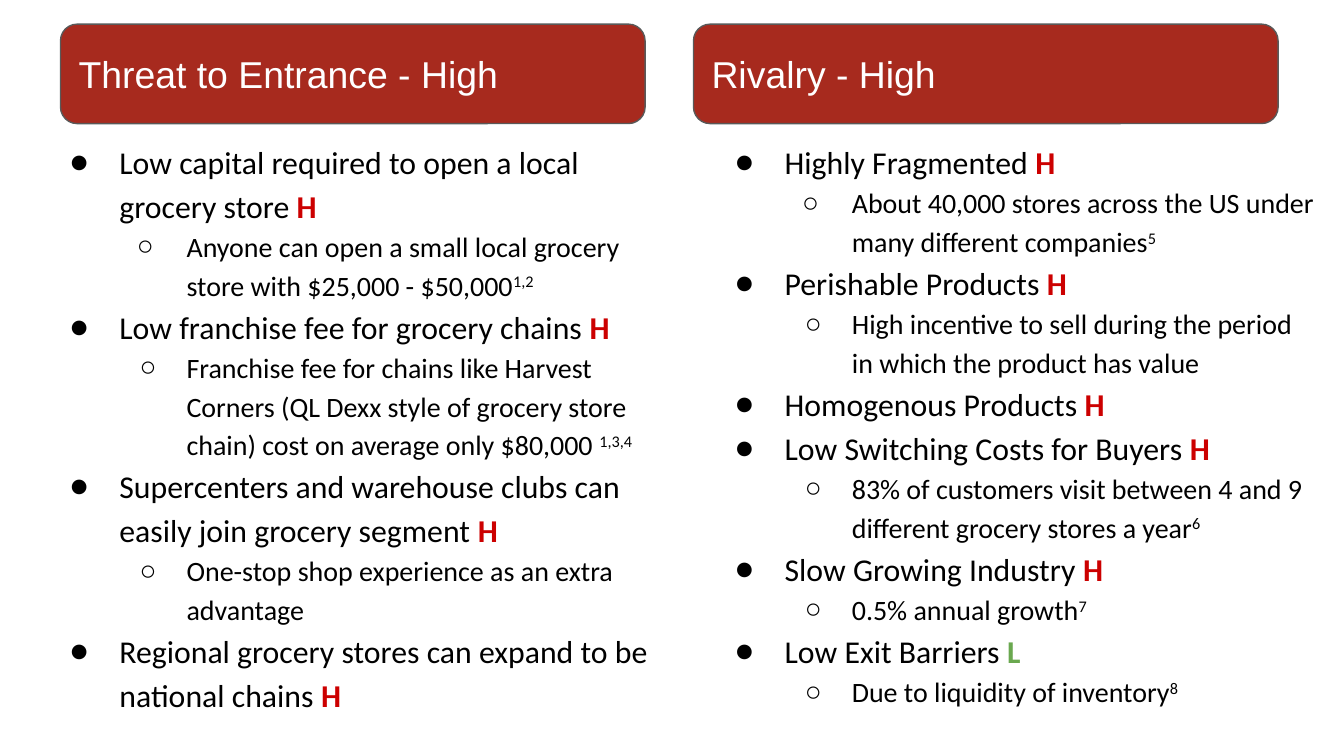
from lxml import etree
from pptx import Presentation
from pptx.dml.color import RGBColor
from pptx.enum.shapes import MSO_SHAPE
from pptx.enum.text import MSO_ANCHOR, MSO_AUTO_SIZE, PP_ALIGN
from pptx.oxml.ns import qn
from pptx.util import Inches, Pt

ROUNDED = MSO_SHAPE.ROUNDED_RECTANGLE
MIDDLE = MSO_ANCHOR.MIDDLE
GROW = MSO_AUTO_SIZE.SHAPE_TO_FIT_TEXT
LEFT = PP_ALIGN.LEFT
BLACK, WHITE = "000000", "FFFFFF"
RATING = {"H": "CC0000", "L": "6AA84F"}
BULLETS = [("●", "Calibri"), ("○", "Arial")]

# Header, header left, text left, text height, points.
# A point is (text, rating, sub-point, footnote mark).
COLUMNS = [
    ("Rivalry - High", 5.16, 5.24, 4.5, [
        ("Highly Fragmented ", "H",
         "About 40,000 stores across the US under many different companies", "5"),
        ("Perishable Products ", "H",
         "High incentive to sell during the period in which the product has value", ""),
        ("Homogenous Products ", "H", "", ""),
        ("Low Switching Costs for Buyers ", "H",
         "83% of customers visit between 4 and 9 different grocery stores a year", "6"),
        ("Slow Growing Industry ", "H", "0.5% annual growth", "7"),
        ("Low Exit Barriers ", "L", "Due to liquidity of inventory", "8"),
    ]),
    ("Threat to Entrance - High", 0.45, 0.29, 4.86, [
        ("Low capital required to open a local grocery store ", "H",
         "Anyone can open a small local grocery store with $25,000 - $50,000", "1,2"),
        ("Low franchise fee for grocery chains ", "H",
         "Franchise fee for chains like Harvest Corners "
         "(QL Dexx style of grocery store chain) cost on average only $80,000 ", "1,3,4"),
        ("Supercenters and warehouse clubs can easily join grocery segment ", "H",
         "One-stop shop experience as an extra advantage", ""),
        ("Regional grocery stores can expand to be national chains ", "H", "", ""),
    ]),
]


def add_run(para, text, size, color=BLACK, face="Calibri"):
    run = para.add_run()
    run.text = text
    run.font.size = Pt(size)
    run.font.name = face
    run.font.color.rgb = RGBColor.from_string(color)
    return run


def add_item(frame, level, hang):
    """Return a bulleted paragraph, using the frame's first one if still empty."""
    para = frame.paragraphs[0]
    if para.runs:
        para = frame.add_paragraph()
    para.level = level
    para.line_spacing = 1.15
    sign, face = BULLETS[level]
    props = para._p.get_or_add_pPr()
    props.set("marL", str(Inches(0.5 + 0.5 * level)))
    props.set("indent", str(-Inches(hang)))
    tint = etree.SubElement(props, qn("a:buClr"))
    etree.SubElement(tint, qn("a:srgbClr"), val=BLACK)
    etree.SubElement(props, qn("a:buFont"), typeface=face)
    etree.SubElement(props, qn("a:buChar"), char=sign)
    return para


deck = Presentation()
deck.slide_width = Inches(10)
deck.slide_height = deck.slide_width * 9 // 16
slide = deck.slides.add_slide(deck.slide_layouts[6])

for title, head_x, text_x, height, points in COLUMNS:
    head = slide.shapes.add_shape(
        ROUNDED, Inches(head_x), Inches(0.18), Inches(4.35), Inches(0.74))
    head.shadow.inherit = False
    head.fill.solid()
    head.fill.fore_color.rgb = RGBColor.from_string("A72A1E")
    head.line.color.rgb = RGBColor.from_string("595959")
    head.line.width = Pt(0.75)
    head.text_frame.vertical_anchor = MIDDLE
    label = head.text_frame.paragraphs[0]
    label.alignment = LEFT
    add_run(label, title, 20, WHITE, "Arial")

    body = slide.shapes.add_textbox(
        Inches(text_x), Inches(0.92), Inches(4.66), Inches(height))
    for frame in (head.text_frame, body.text_frame):
        frame.word_wrap = True
        frame.margin_left = frame.margin_right = Inches(0.1)
        frame.margin_top = frame.margin_bottom = Inches(0.1)
    body.text_frame.auto_size = GROW

    for row, (text, rating, detail, note) in enumerate(points):
        para = add_item(body.text_frame, 0, 0.37)
        add_run(para, text, 17)
        add_run(para, rating, 17, RATING[rating]).font.bold = True
        if detail:
            para = add_item(body.text_frame, 1, 0.35 if row else 0.37)
            add_run(para, detail, 15)
        if note:
            mark = add_run(para, note, 15)
            mark.font._element.set("baseline", "30000")

deck.save("out.pptx")
